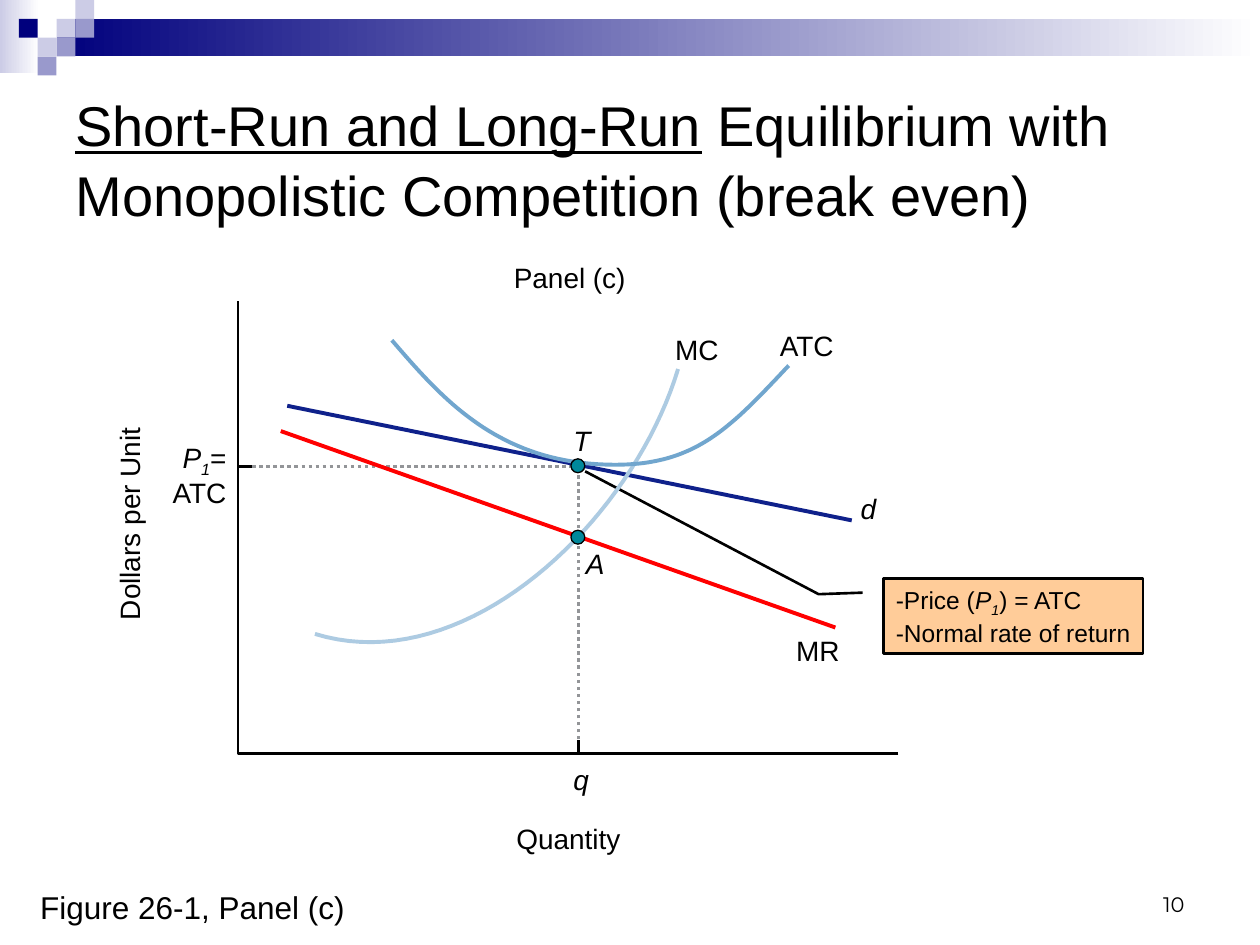
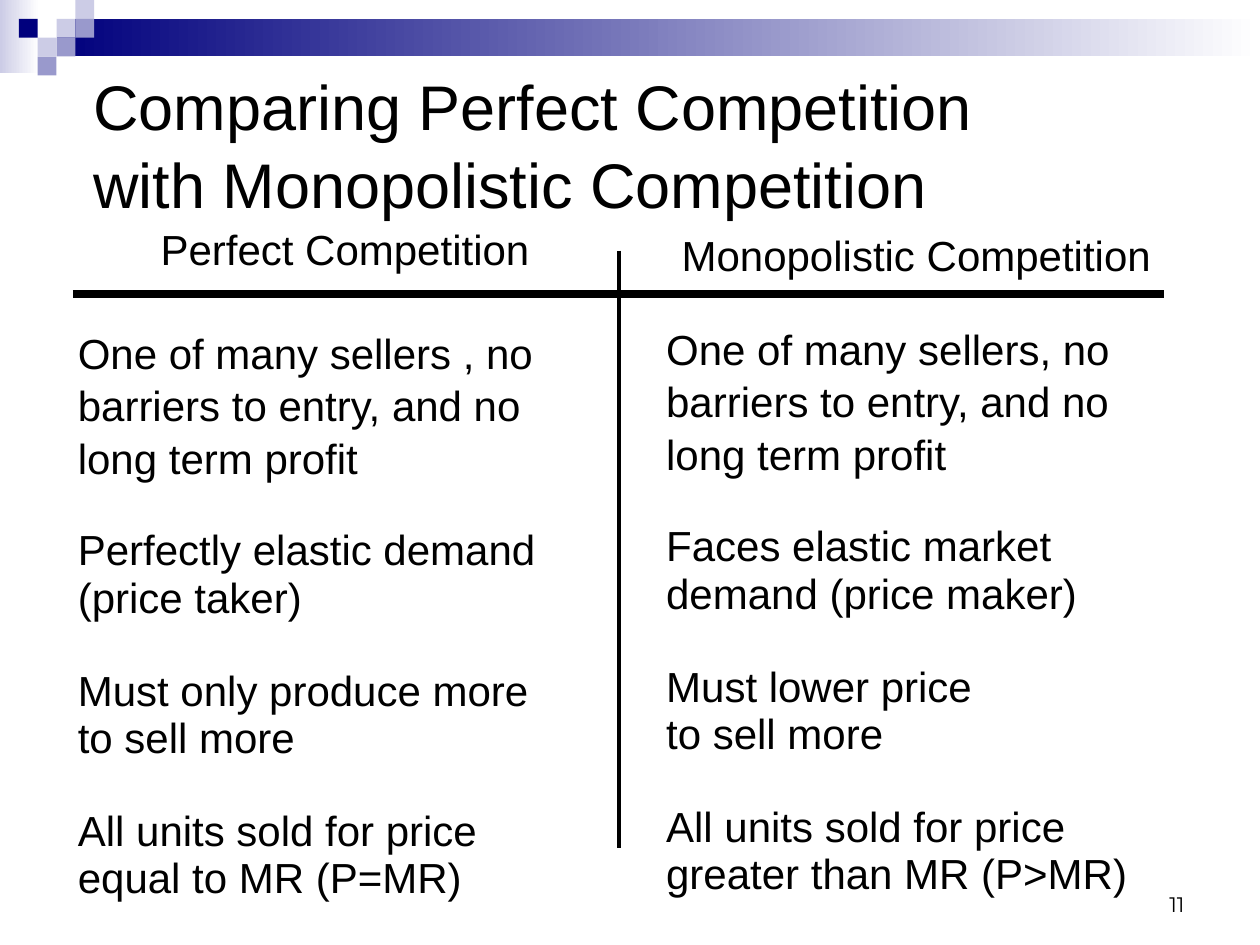
"""Build two economics slides: a break-even diagram and a market comparison."""
from dataclasses import dataclass

from lxml.etree import SubElement
from pptx import Presentation
from pptx.dml.color import RGBColor
from pptx.enum.dml import MSO_LINE
from pptx.enum.shapes import MSO_CONNECTOR, MSO_SHAPE
from pptx.enum.text import MSO_ANCHOR as Anchor, MSO_AUTO_SIZE as AutoSize, PP_ALIGN as Align
from pptx.oxml.ns import qn
from pptx.util import Cm, Pt

BLACK, NAVY, LAVENDER, PERIWINKLE = "000000", "00007D", "CCCCE6", "9999CC"
WHITE, PEACH, TEAL, GREY = "FFFFFF", "FFCC99", "00889B", "939598"
DEMAND_BLUE, COST_BLUE, PALE_BLUE, RED = "0F218B", "71A6CE", "ADCBE2", "FF0000"
CELL = 0.38
LABEL_HEIGHT = 0.69
INSETS = (0.25, 0.13)
SINGLE, TIGHT = 1.04, 0.94

Point = tuple[float, float]


@dataclass(frozen=True)
class Span:
    text: str
    italic: bool = False
    underline: bool = False
    subscript: bool = False


@dataclass(frozen=True)
class Label:
    text: str | list[Span]
    left: float
    top: float
    width: float
    italic: bool = False
    rotation: float = 0


@dataclass(frozen=True)
class Stroke:
    start: Point
    end: Point
    color: str
    weight: float
    dotted: bool = False


@dataclass(frozen=True)
class Curve:
    points: list[Point]
    color: str
    weight: float = 2.25


@dataclass(frozen=True)
class Column:
    heading: str
    heading_box: tuple[float, float, float, float]
    rows: list[str]
    rows_box: tuple[float, float, float, float]


PRICE = [Span("P", italic=True), Span("1", italic=True, subscript=True)]
LABELS = [
    Label("Panel (c)", 10.36, 5.26, 2.26),
    Label("Quantity", 10.41, 16.56, 2.11),
    Label("ATC", 3.48, 9.58, 1.12),
    Label("q", 11.56, 15.37, 0.3, italic=True),
    Label([*PRICE, Span("=")], 3.68, 8.89, 0.92),
    Label("d", 17.35, 9.91, 0.3, italic=True),
    Label("MC", 13.61, 6.71, 0.89),
    Label("ATC", 15.72, 6.63, 1.12),
    Label("MR", 16.05, 12.78, 0.89),
    Label("A", 11.81, 11.02, 0.38, italic=True),
    Label("T", 11.56, 8.53, 0.36, italic=True),
    Label("Dollars per Unit", 0.66, 10.21, 3.89, rotation=270),
]
GUIDES = [
    Stroke((4.8, 9.4), (11.66, 9.4), GREY, 2, dotted=True),
    Stroke((11.66, 15.19), (11.66, 9.32), GREY, 2, dotted=True),
    Stroke((11.66, 15.19), (11.66, 14.91), BLACK, 2),
    Stroke((4.8, 9.4), (5.08, 9.4), BLACK, 2),
    Stroke((5.79, 8.18), (17.17, 10.49), DEMAND_BLUE, 2.25),
]
MARGINAL_REVENUE = Stroke((5.66, 8.69), (16.84, 12.65), RED, 2.25)
RULES = [
    Stroke((1.47, 5.92), (23.47, 5.92), BLACK, 4.5),
    Stroke((12.47, 5.05), (12.47, 17.09), BLACK, 2.25),
]
COLUMNS = [
    Column("Monopolistic Competition", (13.11, 4.5, 10.72, 1.27), [
        "One of many sellers, no barriers to entry, and no long term profit",
        "Faces elastic market demand (price maker)",
        "Must lower price\nto sell more",
        "All units sold for price greater than MR (P>MR)",
    ], (13.18, 6.35, 10.44, 11.5)),
    Column("Perfect Competition", (1.47, 4.37, 10.97, 1.27), [
        "One of many sellers , no barriers to entry, and no long term profit",
        "Perfectly elastic demand (price taker)",
        "Must only produce more\nto sell more",
        "All units sold for price equal to MR (P=MR)",
    ], (1.32, 6.43, 10.72, 11.5)),
]


def rgb(color: str) -> RGBColor:
    """Turn a hex string into a colour."""
    return RGBColor.from_string(color)


def write_text(para, text, *, size, font="Arial", align=Align.LEFT, italic=False, spacing=None, before=0):
    """Fill a paragraph with a string or a list of spans."""
    para.alignment = align
    para.space_before = Pt(before)
    if spacing:
        para.line_spacing = spacing
    for span in [Span(text, italic)] if isinstance(text, str) else text:
        for index, piece in enumerate(span.text.split("\n")):
            if index:
                para.add_line_break()
            run = para.add_run()
            run.text = piece
            run.font.name = font
            run.font.size = Pt(size)
            run.font.italic = span.italic
            run.font.underline = span.underline
            run.font.color.rgb = rgb(BLACK)
            if span.subscript:
                run.font._element.set("baseline", "-25000")


def set_frame(frame, insets: Point, wrap: bool, anchor=Anchor.TOP) -> None:
    """Set the margins, wrapping and anchor of a text frame."""
    frame.auto_size = AutoSize.NONE
    frame.word_wrap = wrap
    frame.vertical_anchor = anchor
    frame.margin_left = frame.margin_right = Cm(insets[0])
    frame.margin_top = frame.margin_bottom = Cm(insets[1])


def add_text(page, text, bounds, *, insets=INSETS, wrap=True, anchor=Anchor.TOP, **style):
    """Add a one-paragraph text box."""
    box = page.shapes.add_textbox(*map(Cm, bounds))
    set_frame(box.text_frame, insets, wrap, anchor)
    write_text(box.text_frame.paragraphs[0], text, **style)
    return box


def add_box(page, kind, bounds, fill: str):
    """Add a filled preset shape without outline or shadow."""
    box = page.shapes.add_shape(kind, *map(Cm, bounds))
    box.shadow.inherit = False
    box.fill.solid()
    box.fill.fore_color.rgb = rgb(fill)
    box.line.fill.background()
    return box


def add_stroke(page, stroke: Stroke) -> None:
    """Draw a straight line."""
    line = page.shapes.add_connector(MSO_CONNECTOR.STRAIGHT, *map(Cm, stroke.start + stroke.end))
    line.line.color.rgb = rgb(stroke.color)
    line.line.width = Pt(stroke.weight)
    if stroke.dotted:
        line.line.dash_style = MSO_LINE.ROUND_DOT
    SubElement(line.element.spPr, qn("a:effectLst"))


def bezier(controls: list[Point], steps: int = 40) -> list[Point]:
    """Sample a cubic curve given its four control points."""
    points = []
    for step in range(steps + 1):
        t = step / steps
        weights = ((1 - t) ** 3, 3 * t * (1 - t) ** 2, 3 * t * t * (1 - t), t ** 3)
        points.append(tuple(sum(w * c[axis] for w, c in zip(weights, controls)) for axis in (0, 1)))
    return points


def add_curve(page, curve: Curve) -> None:
    """Draw an open outline through the points of a curve."""
    points = [(Cm(x), Cm(y)) for x, y in curve.points]
    builder = page.shapes.build_freeform(*points[0])
    builder.add_line_segments(points[1:], close=False)
    outline = builder.convert_to_shape()
    outline.shadow.inherit = False
    outline.fill.background()
    outline.line.color.rgb = rgb(curve.color)
    outline.line.width = Pt(curve.weight)


def add_banner(page, layout) -> None:
    """Draw the shared banner and move it to the layout."""
    boxes = []
    for bounds, color in (((0, 0, 0.79, 1.47), LAVENDER), ((1.14, CELL, 24.26, 2 * CELL), NAVY)):
        band = add_box(page, MSO_SHAPE.RECTANGLE, bounds, color)
        band.fill.gradient()
        band.fill.gradient_angle = 0
        for stop, stop_color in zip(band.fill.gradient_stops, (color, WHITE)):
            stop.color.rgb = rgb(stop_color)
        boxes.append(band)
    squares = {LAVENDER: [(3, 1), (4, 0), (2, 2)], PERIWINKLE: [(4, 1), (3, 2), (2, 3)], NAVY: [(1, 1)]}
    for color, cells in squares.items():
        for column, row in cells:
            bounds = (column * CELL, row * CELL, CELL, CELL)
            boxes.append(add_box(page, MSO_SHAPE.RECTANGLE, bounds, color))
    for number, box in enumerate(boxes, 100):
        box.element.nvSpPr.cNvPr.set("id", str(number))
        layout.shapes.element.append(box.element)


def add_page(deck, title, bounds, size: float, number: str):
    """Add a slide with its title and page number."""
    page = deck.slides.add_slide(deck.slide_layouts[5])
    heading = page.shapes.title
    heading.left, heading.top, heading.width, heading.height = map(Cm, bounds)
    set_frame(heading.text_frame, INSETS, True, Anchor.MIDDLE)
    write_text(heading.text_frame.paragraphs[0], title, size=size, spacing=SINGLE)
    add_text(page, number, (18.21, 17.35, 5.92, 1.27), anchor=Anchor.BOTTOM,
             size=12, font="Montserrat", align=Align.RIGHT)
    return page


def add_callout(page) -> None:
    """Add the note that points at the tangency."""
    note = add_box(page, MSO_SHAPE.LINE_CALLOUT_2, (17.81, 11.66, 5.23, 1.52), PEACH)
    for index, value in enumerate((0.19, -0.08, 0.21, -0.25, -1.42, -1.15)):
        note.adjustments[index] = value
    note.line.color.rgb = rgb(BLACK)
    note.line.width = Pt(1.5)
    frame = note.text_frame
    set_frame(frame, INSETS, False)
    write_text(frame.paragraphs[0], [Span("-Price ("), *PRICE, Span(") = ATC")], size=14)
    write_text(frame.add_paragraph(), "-Normal rate of return", size=14)


def build_diagram(page) -> None:
    """Draw the cost, demand and revenue curves with their labels."""
    add_text(page, "Figure 26-1, Panel (c)", (0.56, 17.78, 6.65, 1.02), wrap=False, size=18)
    add_callout(page)
    for stroke in GUIDES:
        add_stroke(page, stroke)
    marginal_cost = bezier([(6.35, 12.78), (9.4, 13.72), (12.75, 10.49), (13.67, 7.44)])
    falling_cost = bezier([(7.9, 6.86), (8.89, 8), (10.03, 9.37), (12.4, 9.37)])
    rising_cost = bezier([(12.4, 9.37), (14.02, 9.37), (14.71, 8.64), (15.9, 7.37)])
    axes = [(18.11, 15.19), (4.8, 15.19), (4.8, 6.07)]
    add_curve(page, Curve(marginal_cost, PALE_BLUE))
    add_curve(page, Curve(falling_cost + rising_cost[1:], COST_BLUE))
    add_curve(page, Curve(axes, BLACK, 1.5))
    add_stroke(page, MARGINAL_REVENUE)
    for top in (10.69, 9.25):
        dot = add_box(page, MSO_SHAPE.OVAL, (11.51, top, 0.28, 0.28), TEAL)
        dot.line.color.rgb = rgb(BLACK)
        dot.line.width = Pt(0)
    for label in LABELS:
        box = add_text(page, label.text, (label.left, label.top, label.width, LABEL_HEIGHT),
                       insets=(0, 0), wrap=False, size=16, italic=label.italic)
        box.rotation = label.rotation


def build_comparison(page) -> None:
    """Set the two market types side by side."""
    for rule in RULES:
        add_stroke(page, rule)
    for column in COLUMNS:
        add_text(page, column.heading, column.heading_box, size=24, align=Align.CENTER)
        box = add_text(page, column.rows[0], column.rows_box, size=24, spacing=SINGLE)
        for row in column.rows[1:]:
            write_text(box.text_frame.add_paragraph(), row, size=24, spacing=TIGHT, before=26)


def main() -> None:
    """Build and save the deck."""
    deck = Presentation()
    deck.slide_width, deck.slide_height = Cm(25.4), Cm(19.05)
    title = [Span("Short-Run and Long-Run", underline=True),
             Span(" Equilibrium with Monopolistic Competition (break even)")]
    diagram = add_page(deck, title, (1.27, 1.27, 22.86, 3.81), 32, "10")
    add_banner(diagram, deck.slide_layouts[5])
    build_diagram(diagram)
    comparison = add_page(deck, "Comparing Perfect Competition\nwith Monopolistic Competition",
                          (1.63, 1.52, 22.86, 2.72), 36, "11")
    build_comparison(comparison)
    deck.save("out.pptx")


if __name__ == "__main__":
    main()
